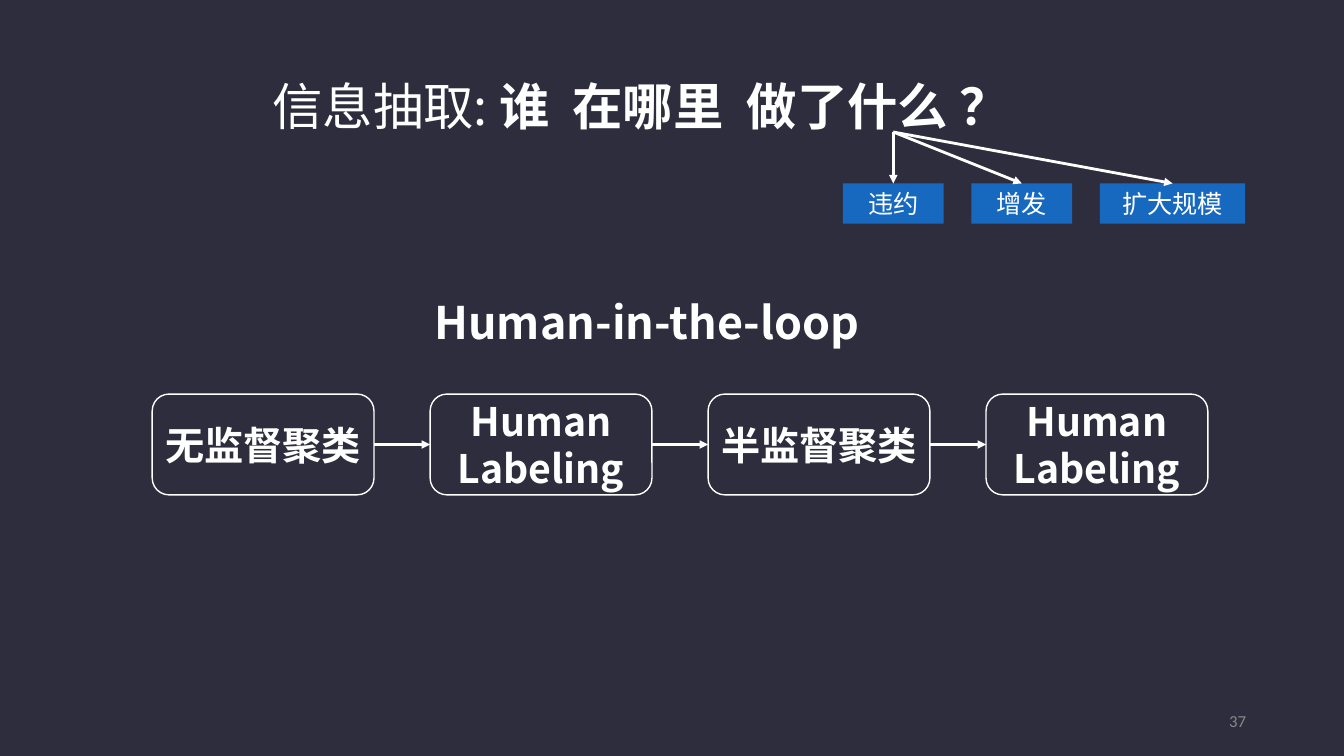
from lxml import etree
from pptx import Presentation
from pptx.dml.color import RGBColor
from pptx.enum import shapes, text
from pptx.oxml import ns
from pptx.util import Inches, Pt

NIGHT = RGBColor(0x2D, 0x2D, 0x3D)
WHITE = RGBColor(0xFF, 0xFF, 0xFF)
BLUE = RGBColor(0x16, 0x69, 0xBE)
GREY = RGBColor(0x88, 0x88, 0x88)
FONT = "Noto Sans CJK SC"
CENTER = text.PP_ALIGN.CENTER
MIDDLE = text.MSO_ANCHOR.MIDDLE
TOP, LEFT, RIGHT = 0, 1, 3


def write(shape, runs, size, bold=False, color=WHITE, font=FONT,
          align=text.PP_ALIGN.LEFT, anchor=text.MSO_ANCHOR.TOP,
          inset=0.05, wrap=True):
    """Fill a shape with one paragraph of runs and return that paragraph."""
    frame = shape.text_frame
    frame.word_wrap = wrap
    frame.vertical_anchor = anchor
    frame.margin_left = frame.margin_right = Inches(inset)
    frame.margin_top = frame.margin_bottom = Inches(inset)
    paragraph = frame.paragraphs[0]
    paragraph.alignment = align
    for words in runs:
        paragraph.add_run().text = words
    paragraph.font.size = Pt(size)
    paragraph.font.bold = bold
    paragraph.font.color.rgb = color
    paragraph.font.name = font
    # East Asian typeface follows the Latin one
    latin = next(paragraph._p.iter(ns.qn("a:latin")))
    east_asian = etree.Element(ns.qn("a:ea"), typeface=font)
    latin.addnext(east_asian)
    return paragraph


def add_text(slide, box, runs, size, **style):
    label = slide.shapes.add_textbox(*map(Inches, box))
    return write(label, runs, size, **style)


def add_box(slide, kind, box, fill=None, outline=None):
    shape = slide.shapes.add_shape(kind, *map(Inches, box))
    shape.shadow.inherit = False
    if fill is None:
        shape.fill.background()
    else:
        shape.fill.solid()
        shape.fill.fore_color.rgb = fill
    if outline is None:
        shape.line.fill.background()
    else:
        shape.line.color.rgb = outline
        shape.line.width = Pt(1)
    return shape


def add_arrow(slide, target, side, source=None, start=(0, 0)):
    """Arrow to a side of target, from the right of source or a free point."""
    arrow = slide.shapes.add_connector(
        shapes.MSO_CONNECTOR.STRAIGHT, *map(Inches, start * 2))
    if source is not None:
        arrow.begin_connect(source, RIGHT)
    arrow.end_connect(target, side)
    arrow.line.color.rgb = WHITE
    arrow.line.width = Pt(2)
    etree.SubElement(arrow.line._get_or_add_ln(), ns.qn("a:tailEnd"), type="triangle")
    etree.SubElement(arrow._element.spPr, ns.qn("a:effectLst"))


def add_title(slide, box):
    paragraph = add_text(slide, box, ["信息抽取: ", "谁  在哪里  做了什么 ？"], 36)
    paragraph.line_spacing = 0.9
    paragraph.runs[1].font.bold = True


def add_event_tags(slide, box, origin):
    """Row of event tags, each reached by an arrow from origin."""
    left, top, width, height = box
    tags = [("违约", 1), ("增发", 1), ("扩大规模", 1.44)]
    gap = (width - sum(tag_width for _, tag_width in tags)) / (len(tags) - 1)
    for event, tag_width in tags:
        tag = add_box(slide, shapes.MSO_SHAPE.RECTANGLE,
                      (left, top, tag_width, height), fill=BLUE)
        write(tag, [event], 18, align=CENTER, anchor=MIDDLE)
        add_arrow(slide, tag, TOP, start=origin)
        left += tag_width + gap


def add_labeling_loop(slide, box):
    """Evenly spaced steps, chained by arrows."""
    left, top, width, height = box
    steps = ["无监督聚类", "Human Labeling", "半监督聚类", "Human Labeling"]
    step_width = 2.2
    pitch = (width - step_width) / (len(steps) - 1)
    previous = None
    for index, name in enumerate(steps):
        step = add_box(slide, shapes.MSO_SHAPE.ROUNDED_RECTANGLE,
                       (left + index * pitch, top, step_width, height), outline=WHITE)
        write(step, [name], 28, bold=True, align=CENTER, anchor=MIDDLE, inset=0)
        if previous is not None:
            add_arrow(slide, step, LEFT, source=previous)
        previous = step


def main():
    deck = Presentation()
    deck.slide_width, deck.slide_height = Inches(13.33), Inches(7.5)
    slide = deck.slides.add_slide(deck.slide_layouts[6])
    slide.background.fill.solid()
    slide.background.fill.fore_color.rgb = NIGHT

    # Question and its event types
    add_title(slide, (2.65, 0.76, 8.03, 0.55))
    add_event_tags(slide, (8.36, 1.82, 3.99, 0.4), origin=(8.86, 1.31))

    # Human-in-the-loop process
    add_text(slide, (4.26, 2.87, 4.8, 0.64), ["Human-in-the-loop"], 32, bold=True)
    add_labeling_loop(slide, (1.51, 3.91, 10.47, 1))

    # Page number
    add_text(slide, (12.14, 7, 0.27, 0.3), ["37"], 12, color=GREY, font="Calibri",
             align=text.PP_ALIGN.RIGHT, anchor=MIDDLE, wrap=False)

    deck.save("out.pptx")


if __name__ == "__main__":
    main()
